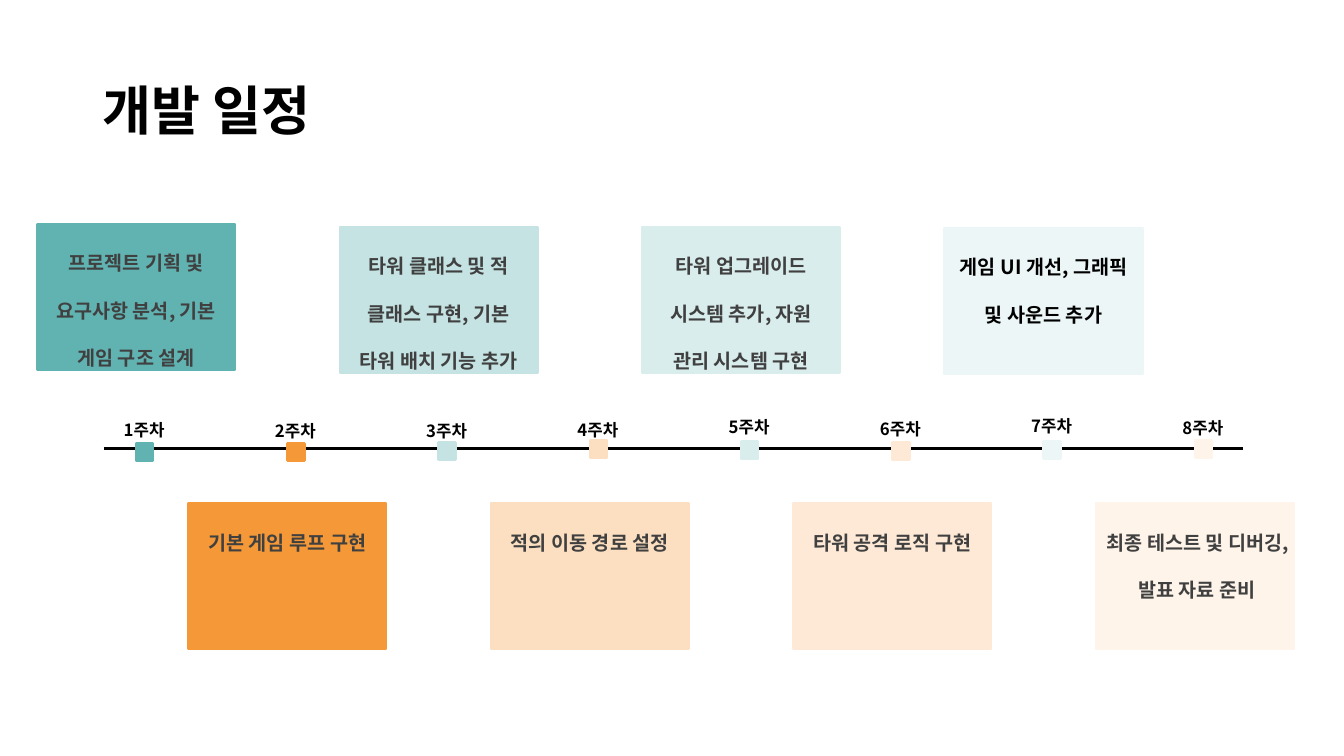
from lxml import etree
from pptx import Presentation
from pptx.dml.color import RGBColor
from pptx.enum.shapes import MSO_CONNECTOR, MSO_SHAPE
from pptx.enum.text import MSO_ANCHOR, PP_ALIGN
from pptx.oxml.ns import qn
from pptx.util import Inches, Pt

RECT, LINE = MSO_SHAPE.RECTANGLE, MSO_CONNECTOR.STRAIGHT
TOP, MIDDLE = MSO_ANCHOR.TOP, MSO_ANCHOR.MIDDLE
LEFT, CENTER = PP_ALIGN.LEFT, PP_ALIGN.CENTER

FONT = "Noto Sans CJK KR"
COLORS = {
    "black": "000000", "gray": "404040",
    "teal": "61B3B2", "orange": "F49838",
    "mint": "C5E3E3", "peach": "FBDFC0",
    "pale": "D9EDEC", "blush": "FDE9D5",
    "ice": "ECF6F6", "cream": "FEF4EA",
}
FORMATS = {
    "title": {
        "frame": {"vertical_anchor": MIDDLE, "word_wrap": True},
        "para": {"alignment": LEFT, "line_spacing": 0.9},
        "font": {"size": Pt(38), "bold": True, "name": FONT},
    },
    "task": {
        "frame": {"vertical_anchor": TOP, "word_wrap": True,
                  "margin_left": Inches(0.1), "margin_right": Inches(0.1),
                  "margin_top": Inches(0.04), "margin_bottom": Inches(0.05)},
        "para": {"alignment": CENTER, "line_spacing": 2.0,
                 "space_before": Pt(10)},
        "font": {"size": Pt(14), "bold": True, "name": FONT},
    },
    "week": {
        "frame": {"vertical_anchor": TOP, "word_wrap": True},
        "para": {"alignment": CENTER, "line_spacing": 0.9,
                 "space_before": Pt(10)},
        "font": {"size": Pt(12), "bold": True, "name": FONT},
    },
}

PITCH = 1.5
WEEKS = [
    ("teal", "gray", 2.22, 4.14, 4.4,
     "프로젝트 기획 및 요구사항 분석, 기본 게임 구조 설계"),
    ("orange", "gray", 4.99, 4.15, 4.4, "기본 게임 루프 구현"),
    ("mint", "gray", 2.25, 4.15, 4.39,
     "타워 클래스 및 적 클래스 구현, 기본 타워 배치 기능 추가"),
    ("peach", "gray", 4.99, 4.14, 4.37, "적의 이동 경로 설정"),
    ("pale", "gray", 2.25, 4.11, 4.38,
     "타워 업그레이드 시스템 추가, 자원 관리 시스템 구현"),
    ("blush", "gray", 4.99, 4.13, 4.39, "타워 공격 로직 구현"),
    ("ice", "black", 2.26, 4.1, 4.38, "게임 UI 개선, 그래픽 및 사운드 추가"),
    ("cream", "gray", 4.99, 4.12, 4.37,
     "최종 테스트 및 디버깅, 발표 자료 준비"),
]


def apply(item, values):
    for key, value in values.items():
        setattr(item, key, value)


class Deck:
    def __init__(self):
        self.deck = Presentation()
        self.deck.slide_width = Inches(13.33)
        self.deck.slide_height = Inches(7.5)
        self.slide = self.deck.slides.add_slide(self.deck.slide_layouts[5])

    def color(self, name):
        return RGBColor.from_string(COLORS[name])

    def text(self, shape, words, style, color):
        form = FORMATS[style]
        frame = shape.text_frame
        apply(frame, form["frame"])
        para = frame.paragraphs[0]
        apply(para, form["para"])
        run = para.add_run()
        run.text = words
        apply(run.font, form["font"])
        run.font.color.rgb = self.color(color)
        east = etree.SubElement(run.font._element, qn("a:ea"))
        east.set("typeface", FONT)

    def title(self, words, left, top, width, height):
        shape = self.slide.shapes.title
        apply(shape, {"left": Inches(left), "top": Inches(top),
                      "width": Inches(width), "height": Inches(height)})
        self.text(shape, words, "title", "black")

    def line(self, left, right, top):
        line = self.slide.shapes.add_connector(
            LINE, Inches(left), Inches(top), Inches(right), Inches(top))
        line.line.color.rgb = self.color("black")
        line.line.width = Pt(2)
        etree.SubElement(line._element.spPr, qn("a:effectLst"))

    def box(self, left, top, width, height, color):
        shape = self.slide.shapes.add_shape(
            RECT, Inches(left), Inches(top), Inches(width), Inches(height))
        shape.shadow.inherit = False
        shape.fill.solid()
        shape.fill.fore_color.rgb = self.color(color)
        shape.line.color.rgb = self.color(color)
        shape.line.width = Pt(1.75)
        return shape

    def label(self, words, left, top, width, height):
        shape = self.slide.shapes.add_textbox(
            Inches(left), Inches(top), Inches(width), Inches(height))
        self.text(shape, words, "week", "black")


def main():
    plan = Deck()
    plan.line(1.03, 12.33, 4.45)
    plan.title("개발 일정", 0.92, 0.4, 11.5, 1.45)
    for index, (fill, ink, top, label, mark, task) in enumerate(WEEKS):
        shift = PITCH * index
        card = plan.box(0.37 + shift, top, 1.96, 1.45, fill)
        plan.text(card, task, "task", ink)
        plan.label(f"{index + 1}주차", 1.08 + shift, label, 0.7, 0.3)
        plan.box(1.35 + shift, mark, 0.17, 0.17, fill)
    plan.deck.save("out.pptx")


if __name__ == "__main__":
    main()
